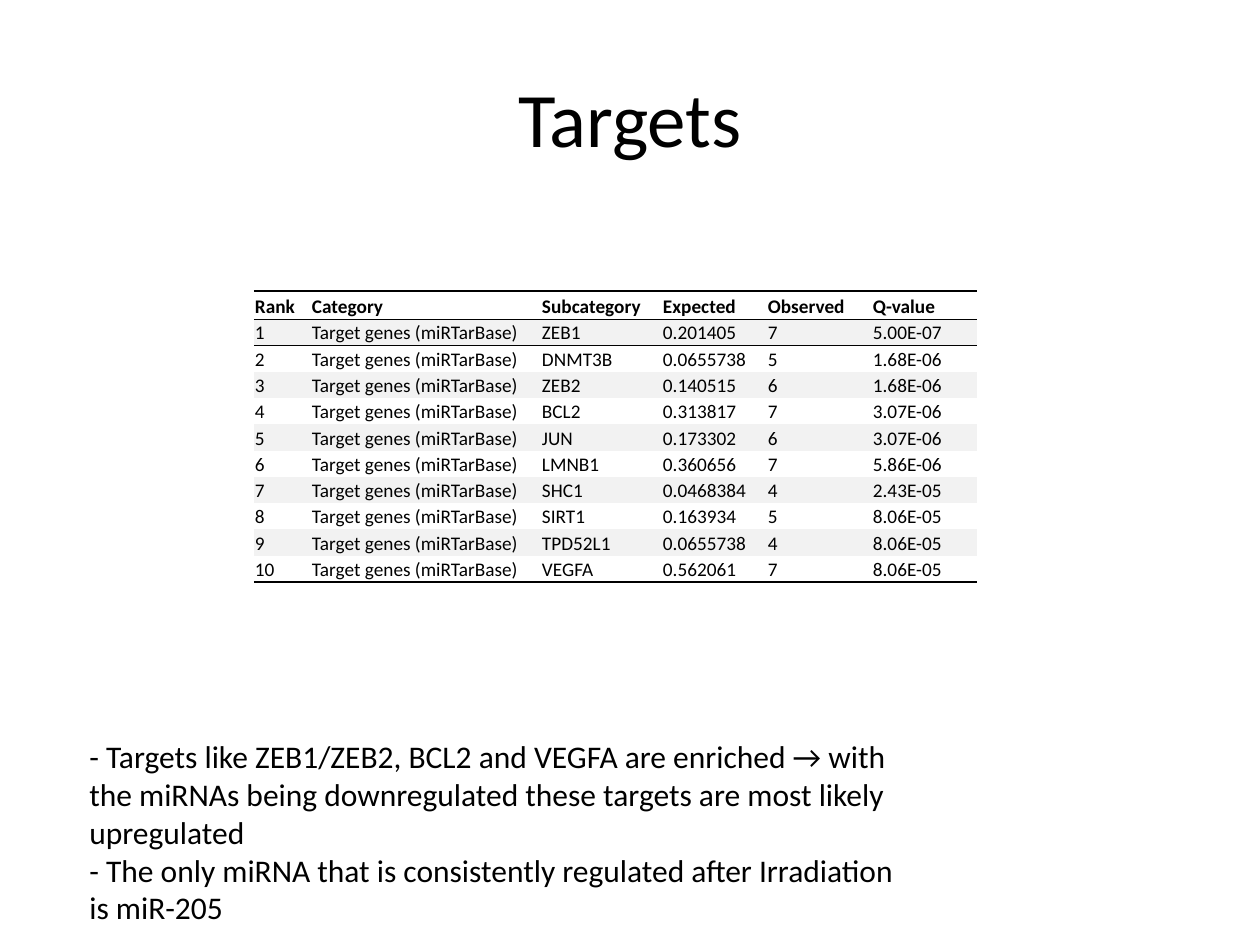
from lxml import etree
from pptx import Presentation
from pptx.dml.color import RGBColor
from pptx.enum.text import MSO_ANCHOR, MSO_AUTO_SIZE, PP_ALIGN
from pptx.oxml.ns import qn
from pptx.util import Emu, Pt

MIDDLE, BOTTOM = MSO_ANCHOR.MIDDLE, MSO_ANCHOR.BOTTOM
LEFT, CENTER = PP_ALIGN.LEFT, PP_ALIGN.CENTER
FIT_SHAPE = MSO_AUTO_SIZE.SHAPE_TO_FIT_TEXT
FONT = "Calibri"
BLACK, WHITE, BAND = "000000", "FFFFFF", "F2F2F2"
PLAIN_TABLE_STYLE = "{2D5ABB26-0587-4C30-8999-92F81FD0307C}"
THICK, THIN = 1.5, 0.5

HEADINGS = ["Rank", "Category", "Subcategory", "Expected", "Observed", "Q-value"]
CATEGORY = "Target genes (miRTarBase)"
GENES = [
    ("ZEB1", "0.201405", "7", "5.00E-07"),
    ("DNMT3B", "0.0655738", "5", "1.68E-06"),
    ("ZEB2", "0.140515", "6", "1.68E-06"),
    ("BCL2", "0.313817", "7", "3.07E-06"),
    ("JUN", "0.173302", "6", "3.07E-06"),
    ("LMNB1", "0.360656", "7", "5.86E-06"),
    ("SHC1", "0.0468384", "4", "2.43E-05"),
    ("SIRT1", "0.163934", "5", "8.06E-05"),
    ("TPD52L1", "0.0655738", "4", "8.06E-05"),
    ("VEGFA", "0.562061", "7", "8.06E-05"),
]
COLUMN_WIDTHS = [57, 230, 121, 105, 105, 105]
HEADER_HEIGHT = 28
FINDINGS = [
    "- Targets like ZEB1/ZEB2, BCL2 and VEGFA are enriched → with the miRNAs "
    "being downregulated these targets are most likely upregulated",
    "- The only miRNA that is consistently regulated after Irradiation is miR-205",
]


def px(length):
    """Turn pixels at 126 to the inch into EMU."""
    return Emu(round(length * 914400 / 126))


def color(value):
    """Turn a hex string into a colour."""
    return RGBColor.from_string(value)


def write(frame, lines, size, align=LEFT, bold=False):
    """Write each line as a paragraph with one run."""
    for index, line in enumerate(lines):
        paragraph = frame.add_paragraph() if index else frame.paragraphs[0]
        paragraph.alignment = align
        run = paragraph.add_run()
        run.text = line
        run.font.name = FONT
        run.font.size = Pt(size)
        run.font.bold = bold
        run.font.color.rgb = color(BLACK)


def add_title(slide, box, title):
    """Add the centred slide title."""
    frame = slide.shapes.add_textbox(*map(px, box)).text_frame
    frame.word_wrap = True
    frame.vertical_anchor = MIDDLE
    write(frame, [title], 44, CENTER)


def add_findings(slide, box, findings):
    """Add the findings below the table."""
    frame = slide.shapes.add_textbox(*map(px, box)).text_frame
    frame.word_wrap = True
    frame.auto_size = FIT_SHAPE
    write(frame, findings, 18)


def add_rule(cell, side, width):
    """Draw a black rule on one side of a cell."""
    rule = etree.SubElement(cell._tc.get_or_add_tcPr(), qn(f"a:{side}"), w=str(Pt(width)))
    fill = etree.SubElement(rule, qn("a:solidFill"))
    etree.SubElement(fill, qn("a:srgbClr"), val=BLACK)


def fill_cell(cell, text, fill, rules, bold):
    """Set the text, rules and fill of one table cell."""
    cell.margin_left = cell.margin_right = cell.margin_top = px(1)
    cell.margin_bottom = 0
    cell.vertical_anchor = BOTTOM
    write(cell.text_frame, [text], 11, bold=bold)
    for side, width in rules.items():
        add_rule(cell, side, width)
    cell.fill.solid()
    cell.fill.fore_color.rgb = color(fill)


def add_target_table(slide, box, headings, genes):
    """Add the ranked target genes as a banded table with three rules."""
    rows = [headings] + [[str(rank), CATEGORY, *gene] for rank, gene in enumerate(genes, 1)]
    frame = slide.shapes.add_table(len(rows), len(headings), *map(px, box))
    for style in frame.element.iter(qn("a:tableStyleId")):
        style.text = PLAIN_TABLE_STYLE
    table = frame.table
    table.first_row = table.horz_banding = False
    for column, width in zip(table.columns, COLUMN_WIDTHS):
        column.width = px(width)

    body_height = box[3] - HEADER_HEIGHT
    edges = [round(i * body_height / len(genes)) for i in range(len(rows))]
    heights = [HEADER_HEIGHT] + [end - start for start, end in zip(edges, edges[1:])]
    rules = {0: {"lnT": THICK, "lnB": THIN}, 1: {"lnT": THIN}, len(genes): {"lnB": THICK}}
    for index, (texts, height) in enumerate(zip(rows, heights)):
        table.rows[index].height = px(height)
        fill = BAND if index % 2 else WHITE
        for column, text in enumerate(texts):
            fill_cell(table.cell(index, column), text, fill, rules.get(index, {}), index == 0)


def main():
    """Build and save the slide."""
    deck = Presentation()
    deck.slide_width, deck.slide_height = px(1260), px(945)
    slide = deck.slides.add_slide(deck.slide_layouts[6])
    add_title(slide, (63, 38, 1134, 157), "Targets")
    add_findings(slide, (77, 731, 854, 204), FINDINGS)
    add_target_table(slide, (254, 291, sum(COLUMN_WIDTHS), 291), HEADINGS, GENES)
    deck.save("out.pptx")


if __name__ == "__main__":
    main()
